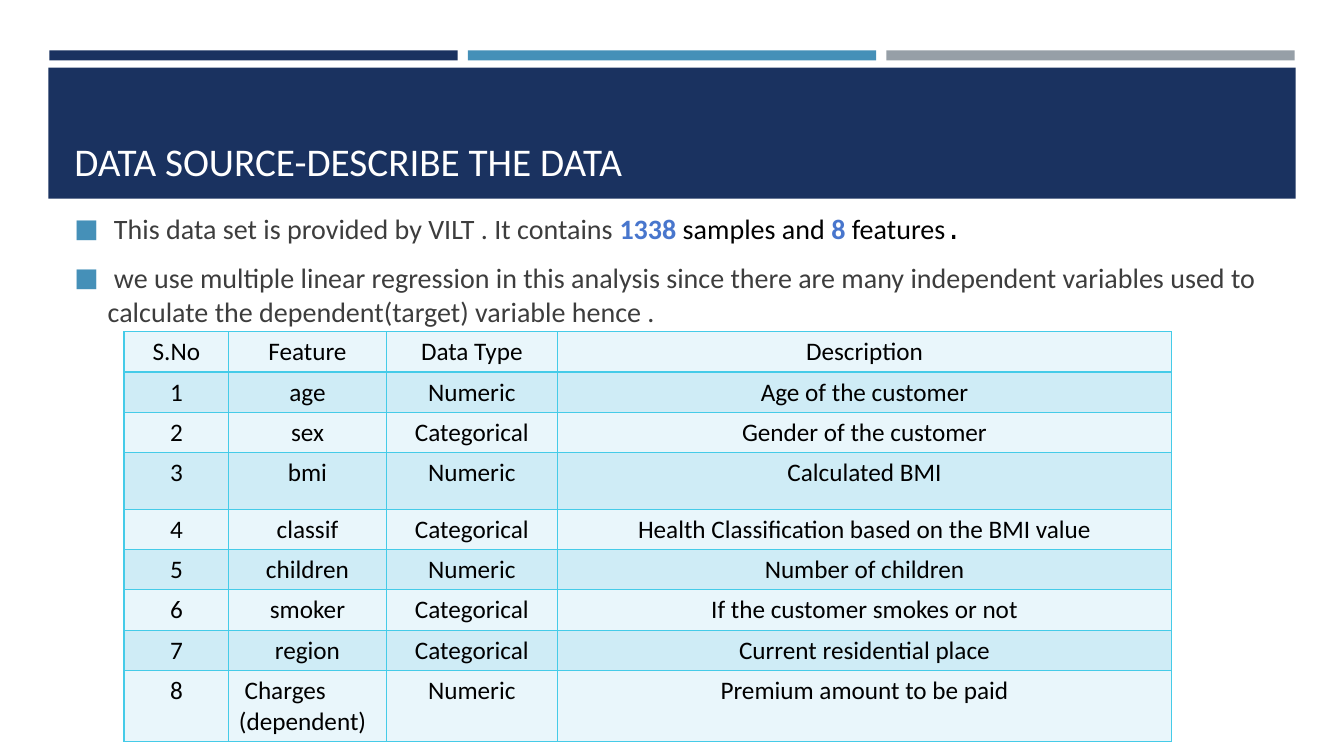
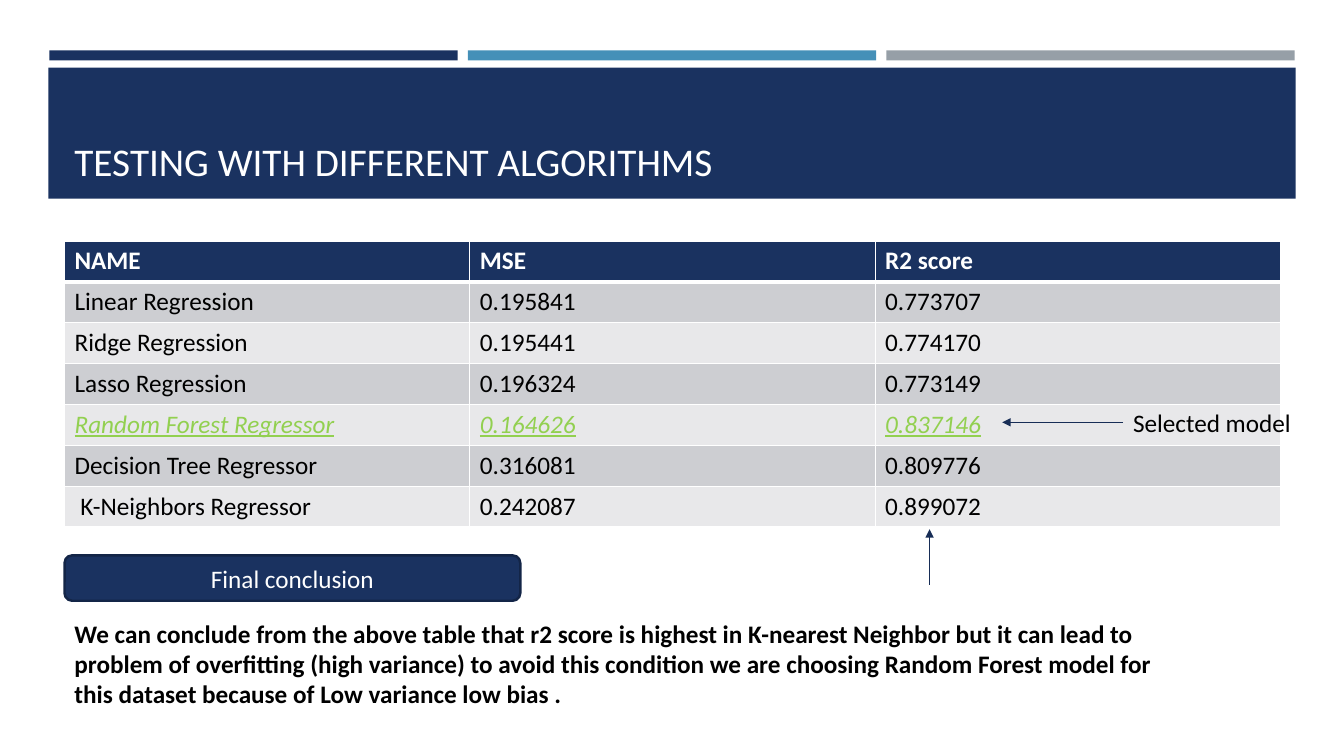
from lxml.etree import SubElement
from pptx import Presentation
from pptx.dml.color import RGBColor
from pptx.enum.shapes import MSO_CONNECTOR, MSO_SHAPE
from pptx.enum.text import MSO_ANCHOR, PP_ALIGN
from pptx.oxml.ns import qn
from pptx.util import Pt

SCALE = 9144  # EMU in one px, 100 px to the inch
FONT = "Calibri"
NAVY, BLUE, GREY = "1A3260", "4590B8", "969FA7"
WHITE, BLACK, DARK = "FFFFFF", "000000", "3D3D3D"
BRIGHT, GREEN, CYAN = "4876CD", "92D050", "45CBE8"
EDGE, ARROW = "132547", "172D56"

FEATURES = [
    ("S.No", "Feature", "Data Type", "Description"),
    ("1", "age", "Numeric", "Age of the customer"),
    ("2", "sex", "Categorical", "Gender of the customer"),
    ("3", "bmi", "Numeric", "Calculated BMI"),
    ("4", "classif", "Categorical",
     "Health Classification based on the BMI value"),
    ("5", "children", "Numeric", "Number of children"),
    ("6", "smoker", "Categorical", "If the customer smokes or not"),
    ("7", "region", "Categorical", "Current residential place"),
    ("8", " Charges (dependent)", "Numeric", "Premium amount to be paid"),
]
SCORES = [
    ("NAME", "MSE", "R2 score"),
    ("Linear Regression", "0.195841", "0.773707"),
    ("Ridge Regression", "0.195441", "0.774170"),
    ("Lasso Regression", "0.196324", "0.773149"),
    ("Random Forest Regressor", "0.164626", "0.837146"),
    ("Decision Tree Regressor", "0.316081", "0.809776"),
    (" K-Neighbors Regressor", "0.242087", "0.899072"),
]
CHOSEN = 4  # row of the selected model
POINTS = [
    [(" This data set is provided by VILT . It contains ", DARK, False),
     ("1338", BRIGHT, True), (" samples and ", BLACK, False),
     ("8", BRIGHT, True), (" features", BLACK, False),
     (".", BLACK, False, "Courier New")],
    [(" we use multiple linear regression in this analysis since there are "
      "many independent variables used to calculate the dependent(target) "
      "variable hence .", DARK, False)],
]
CLOSING = (
    "We can conclude from the above table that r2 score is highest in "
    "K-nearest Neighbor but it can lead to problem of overfitting (high "
    "variance) to avoid this condition we are choosing Random Forest model "
    "for this dataset because of Low variance low bias .")


# Basics
def px(*nums):
    return [round(n * SCALE) for n in nums]


def rgb(color):
    return RGBColor.from_string(color)


def style(font, size, color, bold=False, face=FONT):
    font.name, font.size, font.bold = face, Pt(size), bold
    font.color.rgb = rgb(color)


def block(slide, box, color, kind=MSO_SHAPE.RECTANGLE):
    shape = slide.shapes.add_shape(kind, *px(*box))
    shape.shadow.inherit = False
    shape.fill.solid()
    shape.fill.fore_color.rgb = rgb(color)
    shape.line.fill.background()
    return shape


def frame(slide, box, anchor=MSO_ANCHOR.TOP):
    area = slide.shapes.add_textbox(*px(*box)).text_frame
    area.word_wrap = True
    area.vertical_anchor = anchor
    return area


def label(slide, box, text, size, color, bold=False, anchor=MSO_ANCHOR.TOP):
    para = frame(slide, box, anchor).paragraphs[0]
    para.text = text
    style(para.font, size, color, bold)


def arrow(slide, start, end):
    line = slide.shapes.add_connector(
        MSO_CONNECTOR.STRAIGHT, *px(*start, *end))
    line.line.color.rgb = rgb(ARROW)
    line.line.width = Pt(1)
    props = line._element.spPr
    SubElement(props.find(qn("a:ln")), qn("a:tailEnd"), type="triangle")
    SubElement(props, qn("a:effectLst"))


# Tables
def border(cell, color, top=1, bottom=1):
    props = cell._tc.get_or_add_tcPr()
    for side, width in zip("LRTB", (1, 1, top, bottom)):
        line = SubElement(props, qn("a:ln" + side), w=str(Pt(width)))
        fill = SubElement(line, qn("a:solidFill"))
        SubElement(fill, qn("a:srgbClr"), val=color)


def table(slide, box, data, widths, heights):
    grid = slide.shapes.add_table(len(data), len(widths), *px(*box)).table
    for col, width in zip(grid.columns, px(*widths)):
        col.width = width
    for row, height in zip(grid.rows, px(*heights)):
        row.height = height
    for r, row in enumerate(data):
        for c, text in enumerate(row):
            cell = grid.cell(r, c)
            cell.text = text
            yield r, c, cell, cell.text_frame.paragraphs[0]


def paint(cell, color):
    cell.fill.solid()
    cell.fill.fore_color.rgb = rgb(color)


def feature_table(slide, box):
    x, y, w, h = box
    widths = [104, 156, 170]
    widths.append(w - sum(widths))
    heights = [40] * 3 + [56] + [40] * 4 + [67]
    for r, c, cell, para in table(slide, box, FEATURES, widths, heights):
        border(cell, CYAN)
        paint(cell, "CFECF6" if r % 2 else "E9F6FB")
        style(para.font, 18, BLACK)
        if not text_left(r, c):
            para.alignment = PP_ALIGN.CENTER


def text_left(r, c):
    return (r, c) == (len(FEATURES) - 1, 1)


def score_table(slide, box):
    x, y, w, h = box
    count = len(SCORES)
    cells = table(slide, box, SCORES, [w / 3] * 3, [h / count] * count)
    for r, c, cell, para in cells:
        head, pick = r == 0, r == CHOSEN
        border(cell, WHITE, 3 if r == 1 else 1, 3 if head else 1)
        paint(cell, NAVY if head else "CDCED2" if r % 2 else "E8E8EA")
        style(para.font, 18, WHITE if head else GREEN if pick else BLACK, head)
        para.font.italic = para.font.underline = pick
        if r:
            cell.vertical_anchor = MSO_ANCHOR.MIDDLE
    # Arrows to the chosen and the highest score
    mid = y + 180
    arrow(slide, (x + 1050, mid), (x + 930, mid))
    label(slide, (x + 1050, mid - 20, 200, 40), "Selected model", 18, BLACK)
    arrow(slide, (x + 858, y + 341), (x + 858, y + 286))


# Regions
def header(slide, box, title):
    x, y, w, h = box
    # Three thin bars above the band
    for i, color in enumerate((NAVY, BLUE, GREY)):
        block(slide, (x + 1 + 415 * i, y, 405, 10), color)
    block(slide, (x, y + 17, w, h - 17), NAVY)
    label(slide, (x + 16, y + 27, w - 31, h - 36), title, 28, WHITE,
          anchor=MSO_ANCHOR.BOTTOM)


def bullets(slide, box):
    area = frame(slide, box)
    for i, runs in enumerate(POINTS):
        para = area.add_paragraph() if i else area.paragraphs[0]
        para.space_after = Pt(11)
        for text, color, bold, *face in runs:
            run = para.add_run()
            run.text = text
            style(run.font, 20, color, bold, *face)
        # Square bullet with a hanging indent
        props = para._p.get_or_add_pPr()
        left = px(33)[0]
        props.set("marL", str(left))
        props.set("indent", str(-left))
        tint = SubElement(props, qn("a:buClr"))
        SubElement(tint, qn("a:srgbClr"), val=BLUE)
        SubElement(props, qn("a:buSzPct"), val="92000")
        SubElement(props, qn("a:buFont"), typeface=FONT)
        SubElement(props, qn("a:buChar"), char="■")


def closing(slide, box):
    x, y, w, h = box
    badge = block(slide, (x, y, 452, 45), NAVY, MSO_SHAPE.ROUNDED_RECTANGLE)
    badge.line.color.rgb = rgb(EDGE)
    badge.line.width = Pt(1.75)
    badge.text_frame.vertical_anchor = MSO_ANCHOR.MIDDLE
    para = badge.text_frame.paragraphs[0]
    para.text = "Final conclusion"
    para.alignment = PP_ALIGN.CENTER
    style(para.font, 18, WHITE)
    label(slide, (x, y + 57, w, h - 57), CLOSING, 18, BLACK, True)


# Slides
def page(deck, title):
    slide = deck.slides.add_slide(deck.slide_layouts[6])
    header(slide, (48, 50, 1237, 147), title)
    return slide


def main():
    deck = Presentation()
    deck.slide_width, deck.slide_height = px(1333, 750)

    slide = page(deck, "DATA SOURCE-DESCRIBE THE DATA")
    bullets(slide, (64, 205, 1206, 125))
    feature_table(slide, (123, 329, 1039, 403))

    slide = page(deck, "TESTING WITH DIFFERENT ALGORITHMS")
    score_table(slide, (64, 239, 1206, 284))
    closing(slide, (64, 551, 1120, 158))

    deck.save("out.pptx")


if __name__ == "__main__":
    main()
